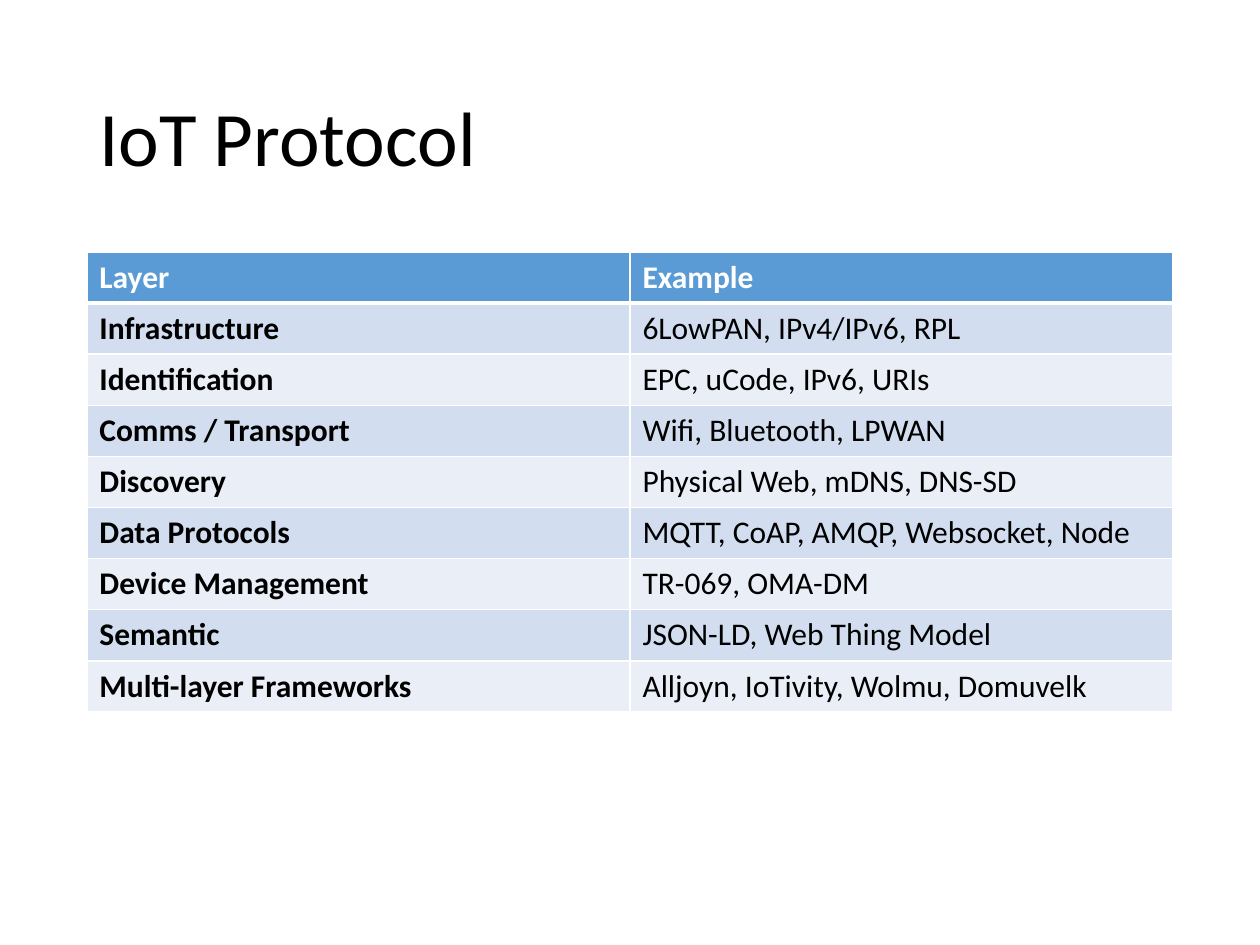
from lxml.etree import SubElement
from pptx import Presentation
from pptx.dml.color import RGBColor
from pptx.enum.text import MSO_ANCHOR
from pptx.oxml.ns import qn
from pptx.util import Cm, Pt

WHITE = RGBColor(0xFF, 0xFF, 0xFF)
BLACK = RGBColor(0x00, 0x00, 0x00)
HEADER_BLUE = RGBColor(0x5B, 0x9B, 0xD5)
BAND_DARK = RGBColor(0xD2, 0xDE, 0xEF)
BAND_LIGHT = RGBColor(0xEA, 0xEF, 0xF7)

ROWS = [
    ("Layer", "Example"),
    ("Infrastructure", "6LowPAN, IPv4/IPv6, RPL"),
    ("Identification", "EPC, uCode, IPv6, URIs"),
    ("Comms / Transport", "Wifi, Bluetooth, LPWAN"),
    ("Discovery", "Physical Web, mDNS, DNS-SD"),
    ("Data Protocols", "MQTT, CoAP, AMQP, Websocket, Node"),
    ("Device Management", "TR-069, OMA-DM"),
    ("Semantic", "JSON-LD, Web Thing Model"),
    ("Multi-layer Frameworks", "Alljoyn, IoTivity, Wolmu, Domuvelk"),
]


def style_paragraph(paragraph, size, color, bold=False):
    paragraph.font.name = "Calibri"
    paragraph.font.size = Pt(size)
    paragraph.font.bold = bold
    paragraph.font.color.rgb = color


def add_border(cell, side, width):
    properties = cell._tc.get_or_add_tcPr()
    line = SubElement(properties, qn(f"a:{side}"), w=str(Pt(width)))
    fill = SubElement(line, qn("a:solidFill"))
    SubElement(fill, qn("a:srgbClr"), val=str(WHITE))


deck = Presentation()
deck.slide_width = Cm(25.4)
deck.slide_height = Cm(19.05)
page = deck.slides.add_slide(deck.slide_layouts[6])

title_box = page.shapes.add_textbox(Cm(1.75), Cm(1.01), Cm(21.9), Cm(3.68))
title_frame = title_box.text_frame
title_frame.word_wrap = True
title_frame.vertical_anchor = MSO_ANCHOR.MIDDLE
title = title_frame.paragraphs[0]
title.text = "IoT Protocol"
title.line_spacing = 0.9
style_paragraph(title, 44, BLACK)

row_height = Cm(1.03)
frame = page.shapes.add_table(
    len(ROWS), 2, Cm(1.75), Cm(5.08), Cm(21.9), row_height * len(ROWS)
)
table = frame.table

for row_index, texts in enumerate(ROWS):
    table.rows[row_index].height = row_height
    is_header = row_index == 0
    band = BAND_DARK if row_index % 2 else BAND_LIGHT
    for column_index, text in enumerate(texts):
        cell = table.cell(row_index, column_index)
        add_border(cell, "lnL", 1)
        add_border(cell, "lnR", 1)
        add_border(cell, "lnT", 3 if row_index == 1 else 1)
        add_border(cell, "lnB", 3 if is_header else 1)
        cell.fill.solid()
        cell.fill.fore_color.rgb = HEADER_BLUE if is_header else band
        cell.text = text
        style_paragraph(
            cell.text_frame.paragraphs[0],
            18,
            WHITE if is_header else BLACK,
            is_header or column_index == 0,
        )

deck.save("out.pptx")
